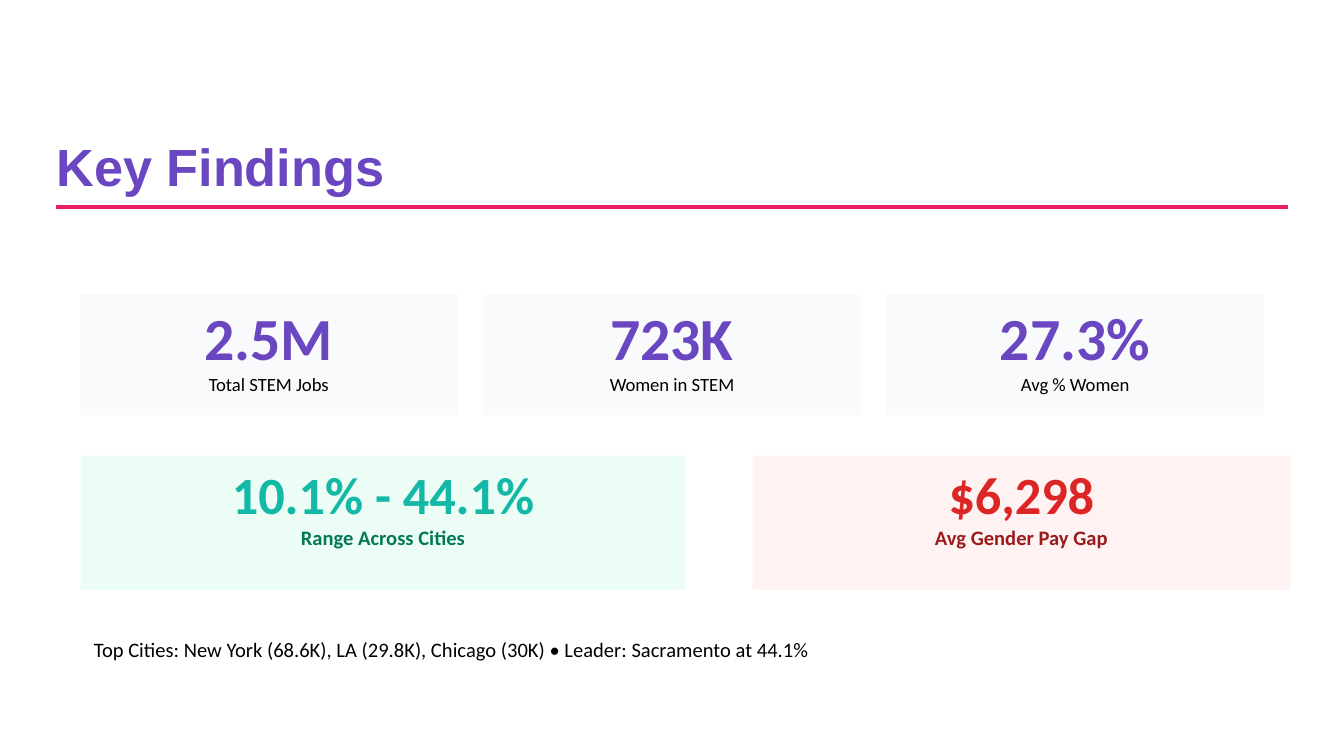
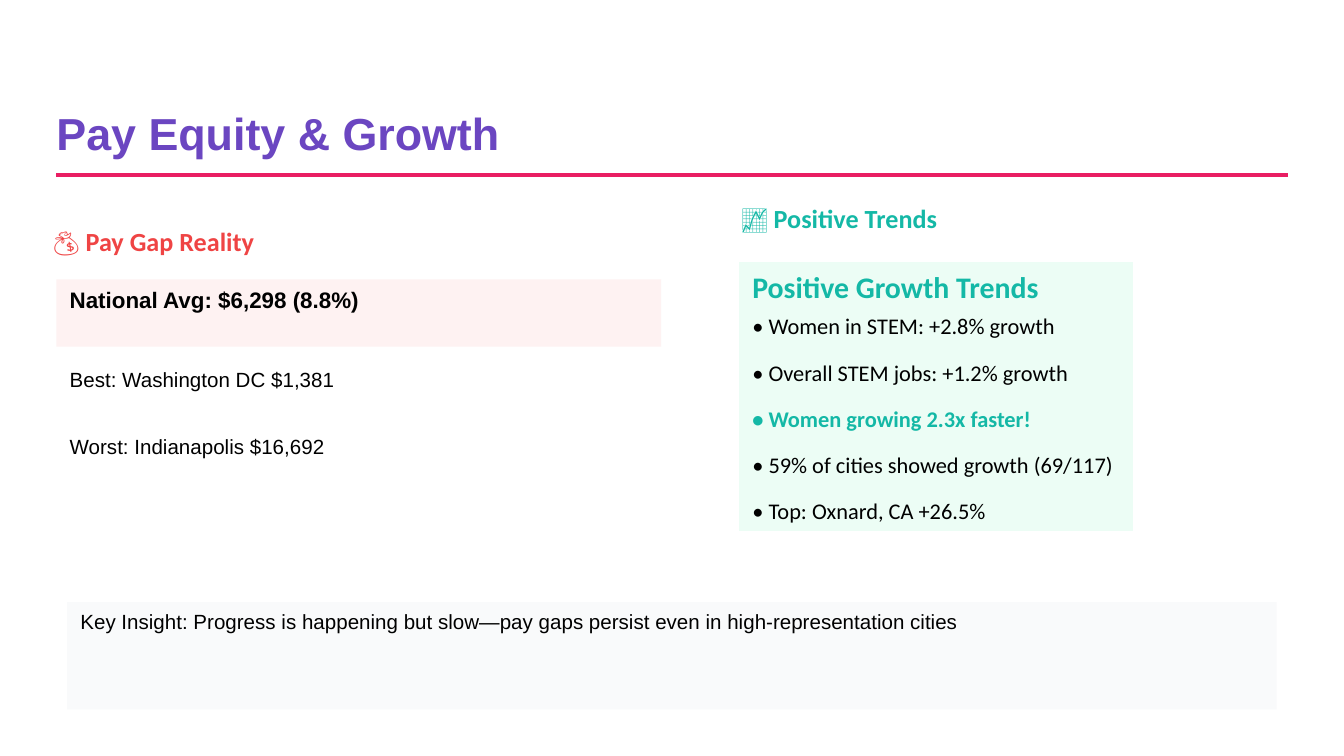
from pptx import Presentation
from pptx.dml.color import RGBColor
from pptx.enum.shapes import MSO_CONNECTOR, MSO_SHAPE
from pptx.enum.text import MSO_ANCHOR, MSO_AUTO_SIZE, PP_ALIGN
from pptx.oxml.ns import qn
from pptx.util import Inches, Pt
from lxml import etree

RECTANGLE = MSO_SHAPE.RECTANGLE
STRAIGHT = MSO_CONNECTOR.STRAIGHT
TOP = MSO_ANCHOR.TOP
LEFT, CENTER = PP_ALIGN.LEFT, PP_ALIGN.CENTER

PURPLE, PINK, BLACK = "6B46C1", "E91E63", "000000"
TEAL, GREEN, MINT = "14B8A6", "047857", "ECFDF5"
CORAL, RED, DARK_RED, BLUSH = "EF4444", "DC2626", "991B1B", "FEF2F2"
PALE_GRAY = "F9FAFB"
HEADING_FONT, BODY_FONT = "Arial", "Calibri"
SLIDE_WIDTH, SLIDE_HEIGHT = 10, 5.625
MARGIN = 0.42

presentation = Presentation()
presentation.slide_width = Inches(SLIDE_WIDTH)
presentation.slide_height = Inches(SLIDE_HEIGHT)


def add_titled_slide(text, size, top, height, rule_top):
    """Add a slide with a purple title above a pink rule."""
    slide = presentation.slides.add_slide(presentation.slide_layouts[5])
    title = slide.shapes.title
    title.left, title.top = Inches(MARGIN), Inches(top)
    title.width, title.height = Inches(4.69), Inches(height)
    frame = title.text_frame
    frame.margin_left = frame.margin_right = 0
    frame.margin_top = frame.margin_bottom = 0
    frame.vertical_anchor = TOP
    frame.auto_size = MSO_AUTO_SIZE.NONE
    paragraph = frame.paragraphs[0]
    paragraph.alignment = LEFT
    paragraph.line_spacing = 1.1
    run = paragraph.add_run()
    run.text = text
    run.font.name, run.font.size, run.font.bold = HEADING_FONT, Pt(size), True
    run.font.color.rgb = RGBColor.from_string(PURPLE)

    rule = slide.shapes.add_connector(
        STRAIGHT, Inches(MARGIN), Inches(rule_top),
        Inches(SLIDE_WIDTH - MARGIN), Inches(rule_top))
    rule.line.color.rgb = RGBColor.from_string(PINK)
    rule.line.width = Pt(2.25)
    etree.SubElement(rule._element.spPr, qn("a:effectLst"))
    return slide


def add_text(slide, box, lines, fill=None, font=BODY_FONT, align=LEFT):
    """Add a panel, or a plain text box if there is no fill.

    Each line is (text, size, color, bold); lines after the first may add
    (line spacing, points after).
    """
    area = [Inches(length) for length in box]
    if fill:
        shape = slide.shapes.add_shape(RECTANGLE, *area)
        shape.shadow.inherit = False
        shape.fill.solid()
        shape.fill.fore_color.rgb = RGBColor.from_string(fill)
        shape.line.fill.background()
    else:
        shape = slide.shapes.add_textbox(*area)
    frame = shape.text_frame
    frame.word_wrap = True
    frame.vertical_anchor = TOP
    for index, (text, size, color, bold, *spacing) in enumerate(lines):
        paragraph = frame.add_paragraph() if index else frame.paragraphs[0]
        paragraph.alignment = align
        if spacing:
            paragraph.line_spacing = spacing[0]
            paragraph.space_after = Pt(spacing[1])
        run = paragraph.add_run()
        run.text = text
        run.font.name, run.font.size, run.font.bold = font, Pt(size), bold
        run.font.color.rgb = RGBColor.from_string(color)


# Key Findings
findings = add_titled_slide("Key Findings", 28, 0.95, 0.42, 1.54)

card_left, card_width, card_gap = 0.6, 2.8, 0.2
totals = [("2.5M", "Total STEM Jobs"),
          ("723K", "Women in STEM"),
          ("27.3%", "Avg % Women")]
for column, (figure, label) in enumerate(totals):
    left = card_left + column * (card_width + card_gap)
    add_text(findings, (left, 2.19, card_width, 0.9),
             [(figure, 32, PURPLE, True), (label, 10, BLACK, False)],
             PALE_GRAY, align=CENTER)

highlights = [
    (card_left, 4.5, "10.1% - 44.1%", TEAL, "Range Across Cities", GREEN, MINT),
    (5.6, 4, "$6,298", RED, "Avg Gender Pay Gap", DARK_RED, BLUSH),
]
for left, width, figure, color, label, label_color, fill in highlights:
    add_text(findings, (left, 3.39, width, 1),
             [(figure, 28, color, True), (label, 11, label_color, True)],
             fill, align=CENTER)

add_text(findings, (card_left, 4.69, 9, 0.6),
         [("Top Cities: New York (68.6K), LA (29.8K), Chicago (30K) "
           "• Leader: Sacramento at 44.1%", 11, BLACK, False)])

# Pay Equity & Growth
equity = add_titled_slide("Pay Equity & Growth", 24, 0.75, 0.38, 1.3)

add_text(equity, (MARGIN, 2.08, 4.5, 0.5),
         [("National Avg: $6,298 (8.8%)", 12, BLACK, True)],
         BLUSH, HEADING_FONT)
extremes = ["Best: Washington DC $1,381", "Worst: Indianapolis $16,692"]
for row, city in enumerate(extremes):
    add_text(equity, (MARGIN, 2.68 + row * 0.5, 4.5, 0.4),
             [(city, 11, BLACK, False)], font=HEADING_FONT)

add_text(equity, (0.5, 4.48, 9, 0.8),
         [("Key Insight: Progress is happening but slow—pay gaps persist "
           "even in high-representation cities", 11, BLACK, False)],
         PALE_GRAY, HEADING_FONT)

add_text(equity, (0.3, 1.63, 4.5, 0.4), [("💰 Pay Gap Reality", 14, CORAL, True)])
add_text(equity, (5.42, 1.46, 4, 0.4), [("📈 Positive Trends", 14, TEAL, True)])

trends = [("• Women in STEM: +2.8% growth", BLACK, False),
          ("• Overall STEM jobs: +1.2% growth", BLACK, False),
          ("• Women growing 2.3x faster!", TEAL, True),
          ("• 59% of cities showed growth (69/117)", BLACK, False),
          ("• Top: Oxnard, CA +26.5%", BLACK, False)]
add_text(equity, (5.5, 1.95, 2.93, 2),
         [("Positive Growth Trends", 16, TEAL, True)]
         + [(text, 12, color, bold, 1.3, 6) for text, color, bold in trends],
         MINT)

presentation.save("out.pptx")
